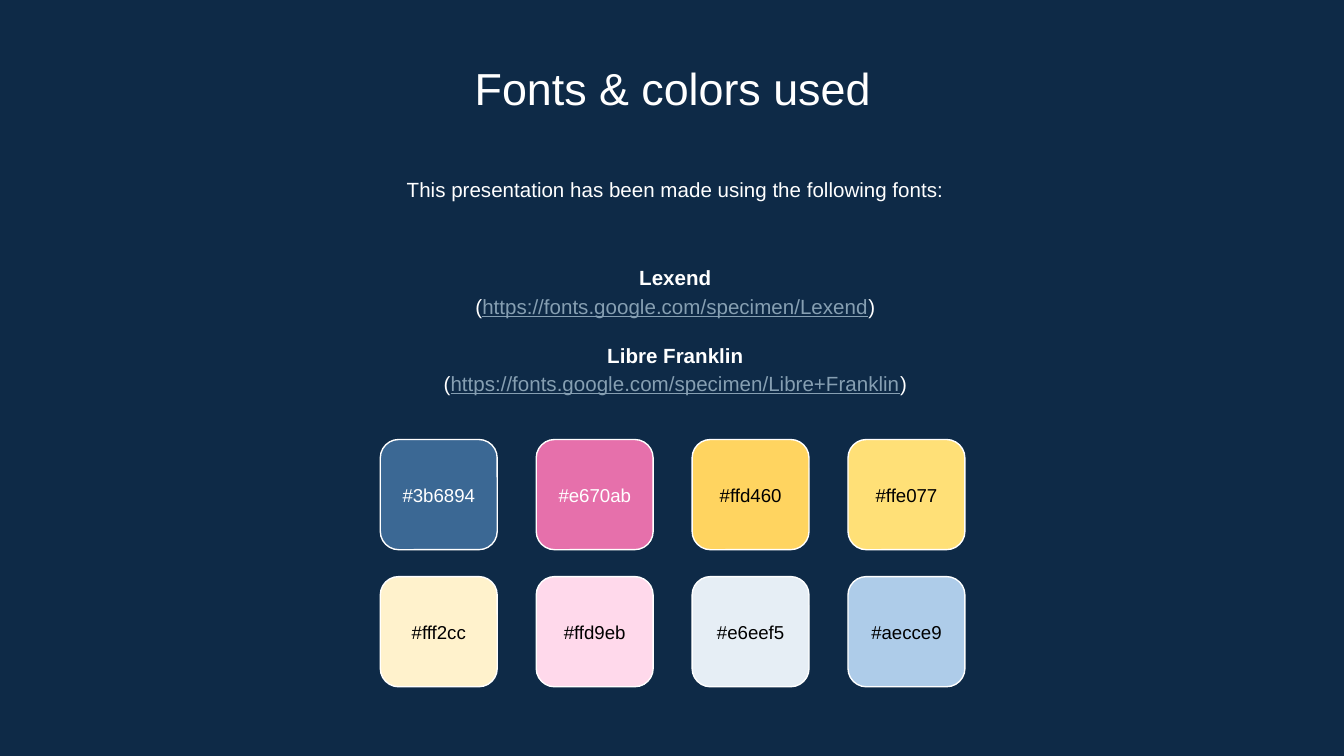
from dataclasses import dataclass

from lxml.etree import SubElement
from pptx import Presentation
from pptx.dml.color import RGBColor
from pptx.enum.shapes import MSO_SHAPE
from pptx.enum.text import MSO_ANCHOR, MSO_AUTO_SIZE, PP_ALIGN
from pptx.oxml.ns import qn
from pptx.util import Inches, Pt


@dataclass(frozen=True)
class Theme:
    """Colours, font and type sizes of the slide."""

    font: str = "Arial"
    background: str = "0E2A47"
    light: str = "FFFFFF"
    dark: str = "000000"
    link: str = "869FB2"
    title_size: int = 24
    body_size: int = 11
    label_size: int = 10
    body_spacing: float = 1.15


THEME = Theme()
FONTS = [
    ("Lexend", "https://fonts.google.com/specimen/Lexend"),
    ("Libre Franklin", "https://fonts.google.com/specimen/Libre+Franklin"),
]
SWATCH_ROWS = [
    [("#3b6894", THEME.light), ("#e670ab", THEME.light),
     ("#ffd460", THEME.dark), ("#ffe077", THEME.dark)],
    [("#fff2cc", THEME.dark), ("#ffd9eb", THEME.dark),
     ("#e6eef5", THEME.dark), ("#aecce9", THEME.dark)],
]


def color(value):
    """Turn a hex value, with or without a hash sign, into a colour."""
    return RGBColor.from_string(value.lstrip("#").upper())


def place(shape, left, top, width, height):
    """Move and size a shape in inches."""
    shape.left, shape.top = Inches(left), Inches(top)
    shape.width, shape.height = Inches(width), Inches(height)


def format_frame(shape, anchor=MSO_ANCHOR.TOP, margin=0.1):
    """Set wrapping, anchor and margins, and return the text frame."""
    frame = shape.text_frame
    frame.word_wrap = True
    frame.auto_size = MSO_AUTO_SIZE.NONE
    frame.vertical_anchor = anchor
    frame.margin_left = frame.margin_right = Inches(margin)
    frame.margin_top = frame.margin_bottom = Inches(margin)
    return frame


def format_paragraph(paragraph, line_spacing=1.0, space_before=0):
    """Centre a paragraph, without bullet or indent."""
    paragraph.alignment = PP_ALIGN.CENTER
    paragraph.line_spacing = line_spacing
    paragraph.space_before = Pt(space_before)
    properties = paragraph._p.get_or_add_pPr()
    properties.set("marL", "0")
    properties.set("indent", "0")
    SubElement(properties, qn("a:buNone"))


def add_run(paragraph, text, size, text_color=THEME.light, bold=False, underline=False):
    """Add one formatted run to a paragraph."""
    run = paragraph.add_run()
    run.text = text
    run.font.name = THEME.font
    run.font.size = Pt(size)
    run.font.bold = bold
    run.font.underline = underline
    run.font.color.rgb = color(text_color)


def add_title(slide, text):
    """Fill the title placeholder."""
    title = slide.shapes.title
    place(title, 1.15, 0.35, 7.71, 0.53)
    paragraph = format_frame(title).paragraphs[0]
    format_paragraph(paragraph)
    add_run(paragraph, text, THEME.title_size)


def add_intro(slide, text):
    """Add the sentence above the font list."""
    box = slide.shapes.add_textbox(Inches(1.17), Inches(1.19), Inches(7.71), Inches(0.48))
    paragraph = format_frame(box).paragraphs[0]
    format_paragraph(paragraph, THEME.body_spacing)
    add_run(paragraph, text, THEME.body_size)


def add_font_list(slide, fonts):
    """Fill the body placeholder with font names and their addresses."""
    body = slide.placeholders[1]
    place(body, 1.17, 1.76, 7.71, 1.37)
    frame = format_frame(body, MSO_ANCHOR.MIDDLE)
    for index, (name, address) in enumerate(fonts):
        heading = frame.add_paragraph() if index else frame.paragraphs[0]
        format_paragraph(heading, THEME.body_spacing, 11 if index else 0)
        add_run(heading, name, THEME.body_size, bold=True)
        line = frame.add_paragraph()
        format_paragraph(line, THEME.body_spacing)
        add_run(line, "(", THEME.body_size)
        add_run(line, address, THEME.body_size, THEME.link, underline=True)
        add_run(line, ")", THEME.body_size)


def add_swatch(slide, left, top, hex_code, text_color):
    """Add a rounded square filled with the colour that it names."""
    swatch = slide.shapes.add_shape(
        MSO_SHAPE.ROUNDED_RECTANGLE, Inches(left), Inches(top), Inches(0.87), Inches(0.82))
    swatch.shadow.inherit = False
    swatch.fill.solid()
    swatch.fill.fore_color.rgb = color(hex_code)
    swatch.line.color.rgb = color(THEME.light)
    swatch.line.width = Pt(0.75)
    paragraph = format_frame(swatch, MSO_ANCHOR.MIDDLE, 0).paragraphs[0]
    format_paragraph(paragraph)
    add_run(paragraph, hex_code, THEME.label_size, text_color)


def main():
    """Build and save the slide."""
    presentation = Presentation()
    presentation.slide_width = Inches(10)
    presentation.slide_height = presentation.slide_width * 9 // 16
    slide = presentation.slides.add_slide(presentation.slide_layouts[1])
    slide.background.fill.solid()
    slide.background.fill.fore_color.rgb = color(THEME.background)
    add_title(slide, "Fonts & colors used")
    add_intro(slide, "This presentation has been made using the following fonts:")
    add_font_list(slide, FONTS)
    for row, swatches in enumerate(SWATCH_ROWS):
        for column, (hex_code, text_color) in enumerate(swatches):
            add_swatch(slide, 2.83 + 1.16 * column, 3.27 + 1.02 * row, hex_code, text_color)
    presentation.save("out.pptx")


if __name__ == "__main__":
    main()
